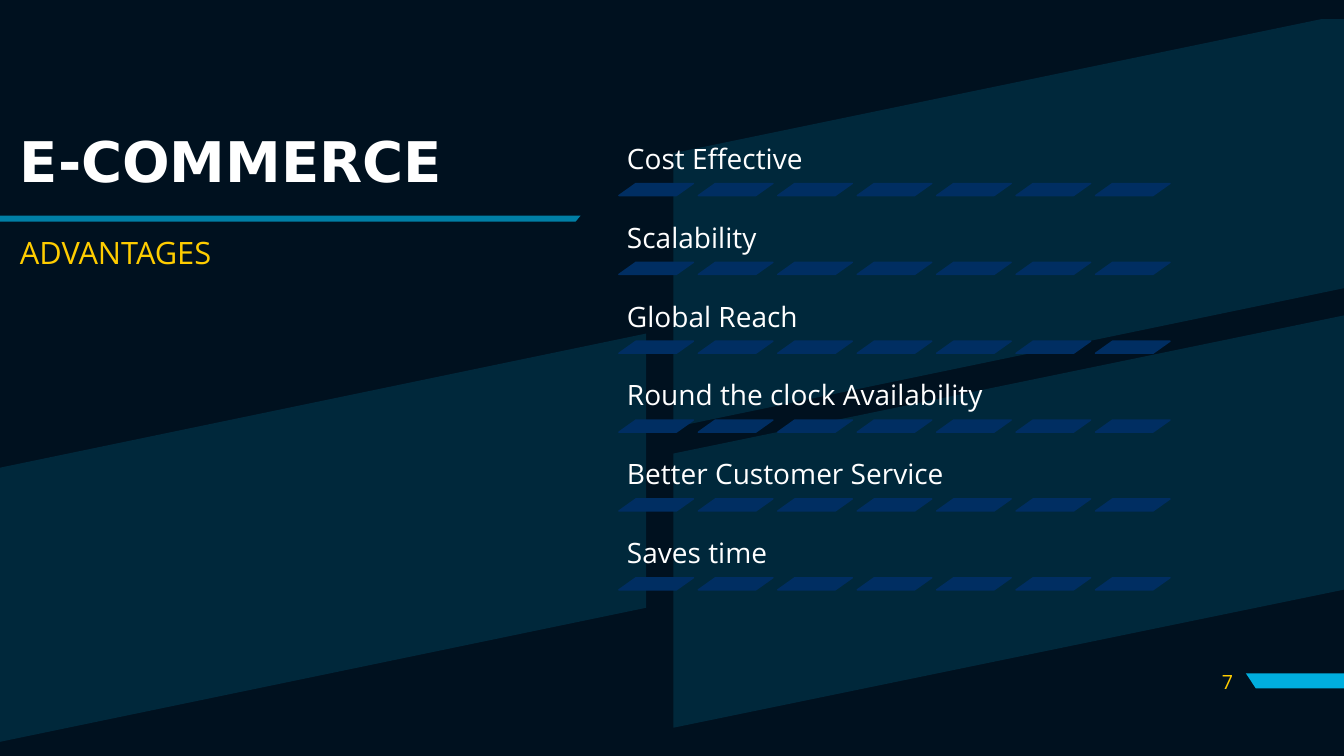
from lxml.etree import SubElement
from pptx import Presentation
from pptx.dml.color import RGBColor
from pptx.enum.shapes import MSO_SHAPE
from pptx.enum.text import MSO_ANCHOR, PP_ALIGN
from pptx.oxml.ns import qn
from pptx.util import Inches, Pt

NAVY, BLUE, CYAN, YELLOW, WHITE = "00111F", "002E62", "00AEDE", "FFCD00", "FFFFFF"


def paint(fill, color, alpha=100):
    """Solid fill from a hex colour, with opacity in percent."""
    fill.solid()
    fill.fore_color.rgb = RGBColor.from_string(color)
    if alpha < 100:
        clr = fill._xPr.find(qn("a:solidFill"))[0]
        SubElement(clr, qn("a:alpha"), val=str(alpha * 1000))


def write(tf, text, size=20, color=WHITE, font="Open Sans", bold=False,
          align=PP_ALIGN.LEFT, spacing=0.9, before=0):
    p = tf.paragraphs[0]
    p.alignment, p.line_spacing, p.space_before = align, spacing, Pt(before)
    r = p.add_run()
    r.text = text
    r.font.name, r.font.size, r.font.bold = font, Pt(size), bold
    paint(r.font.fill, color)


class Deck:
    """Places elements on a slide; all lengths are percent of its width and height."""

    def __init__(self, width, height, background):
        self.prs = Presentation()
        self.prs.slide_width, self.prs.slide_height = Inches(width), Inches(height)
        self.s = self.prs.slides.add_slide(self.prs.slide_layouts[6])
        paint(self.s.background.fill, background)

    def at(self, *shares):
        sides = (self.prs.slide_width, self.prs.slide_height)
        return [round(v * sides[i % 2] / 100) for i, v in enumerate(shares)]

    def outline(self, *contours, alpha=100):
        first, *rest = [[self.at(*pt) for pt in c] for c in contours]
        fb = self.s.shapes.build_freeform(*first[0])
        fb.add_line_segments(first[1:])
        for contour in rest:
            fb.move_to(*contour[0])
            fb.add_line_segments(contour[1:])
        sp = fb.convert_to_shape()
        sp.shadow.inherit = False
        sp.line.fill.background()
        paint(sp.fill, CYAN, alpha)

    def text(self, box, text, anchor=MSO_ANCHOR.TOP, inset=None, parent=None, **style):
        tf = (parent or self.s).shapes.add_textbox(*self.at(*box)).text_frame
        tf.word_wrap, tf.vertical_anchor = True, anchor
        if inset is not None:
            tf.margin_left = tf.margin_top = tf.margin_right = tf.margin_bottom = Inches(inset)
        write(tf, text, **style)

    def dash(self, box, parent):
        sp = parent.shapes.add_shape(MSO_SHAPE.PARALLELOGRAM, *self.at(*box))
        sp.adjustments[0] = 1.408
        sp.shadow.inherit = False
        paint(sp.fill, BLUE)
        paint(sp.line.fill, BLUE)
        sp.line.width = Pt(1)

    def advantage(self, left, top, text, dashes=7, pitch=5.91):
        row = self.s.shapes.add_group_shape()
        self.text((left, top, 41.85, 6.8), text, MSO_ANCHOR.BOTTOM, 0.08, row)
        for i in range(dashes):
            self.dash((left + i * pitch, top + 6.8, 5.55, 1.6), row)


def main():
    deck = Deck(13.333, 7.5, NAVY)

    # Slanted background panels
    deck.outline(
        [(48.08, 44.13), (48.08, 80.4), (0, 98.13), (0, 61.87)],
        [(100, 41.73), (100, 78), (50.1, 96.27), (50.1, 60)],
        [(98.33, 2.53), (100, 2.53), (100, 38.13), (50.1, 56.53), (50.1, 20.27)],
        alpha=15)

    # Page number tab and rule under the title
    deck.outline([(100, 89.07), (100, 91.07), (93.45, 91.07), (92.7, 89.07)])
    deck.outline([(0, 28.53), (0, 29.33), (42.83, 29.33), (43.2, 28.53)], alpha=70)

    # Title, page number and subtitle
    deck.text((0.75, 16, 41.48, 11.47), "E-COMMERCE", MSO_ANCHOR.MIDDLE,
              size=40, font="DejaVu Sans", bold=True)
    deck.text((87.98, 87.47, 4.5, 5.33), "7", MSO_ANCHOR.MIDDLE,
              size=14, color=YELLOW, align=PP_ALIGN.RIGHT, spacing=1.0)
    deck.text((0.75, 30.8, 41.93, 11.47), "ADVANTAGES", size=22, color=YELLOW, before=10)

    # Advantages, each above a row of dashes
    advantages = ["Cost Effective", "Scalability", "Global Reach",
                  "Round the clock Availability", "Better Customer Service", "Saves time"]
    for i, name in enumerate(advantages):
        deck.advantage(46.05, 17.47 + i * 10.43, name)

    deck.prs.save("out.pptx")


if __name__ == "__main__":
    main()
